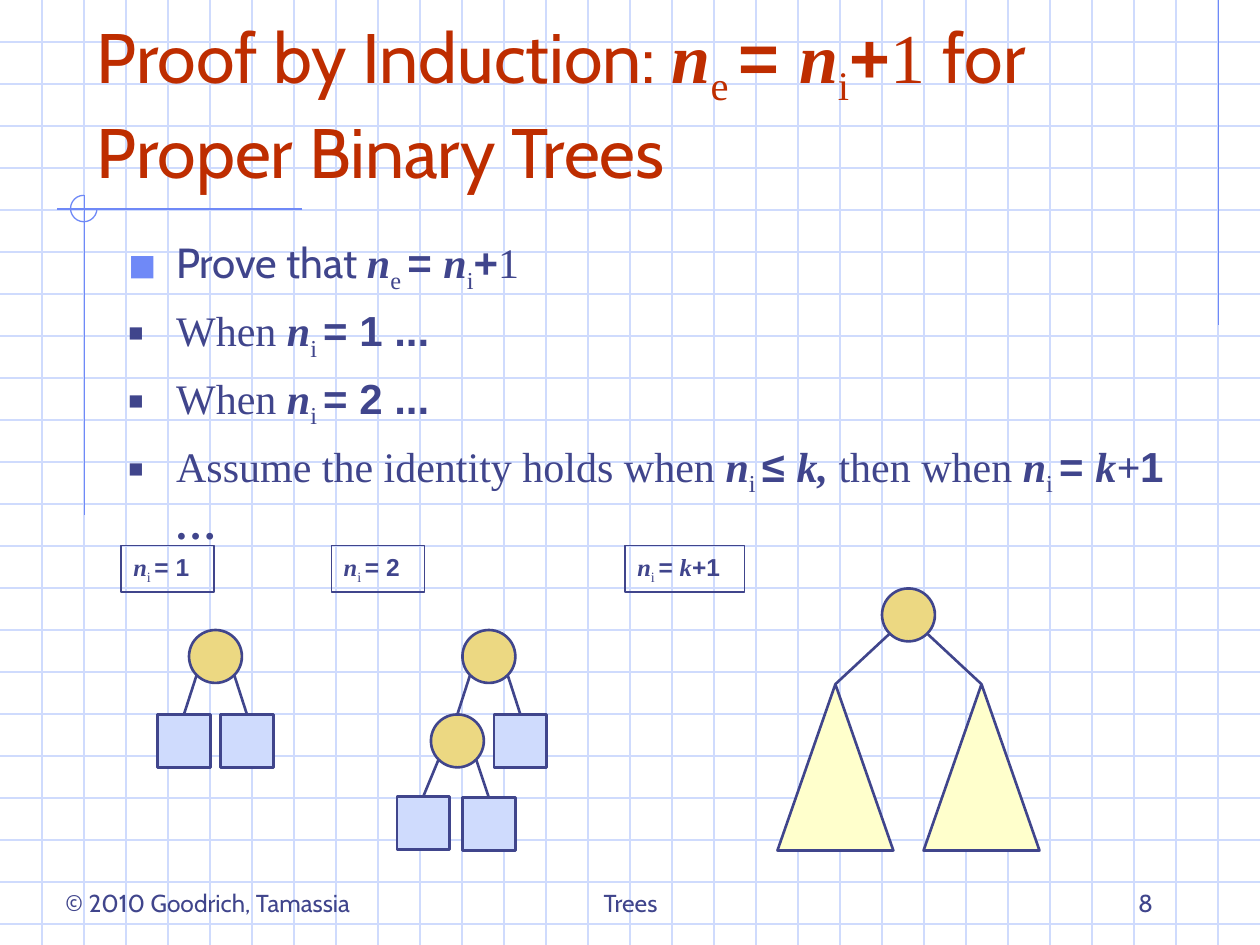
from dataclasses import dataclass

from lxml.etree import SubElement
from pptx import Presentation
from pptx.dml.color import RGBColor
from pptx.enum.shapes import MSO_CONNECTOR as Connector, MSO_SHAPE as Shape
from pptx.enum.text import MSO_ANCHOR as Anchor, PP_ALIGN as Align
from pptx.oxml.ns import qn
from pptx.util import Inches, Pt


@dataclass(frozen=True)
class Theme:
    """Colours, type sizes and line widths of the slide."""
    ink: str = "40458C"
    title: str = "BE2D00"
    grid: str = "CFDBFD"
    accent: str = "6F89F7"
    internal: str = "ECD882"
    external: str = "CFDBFD"
    subtree: str = "FFFFCC"
    title_size: int = 40
    body_size: int = 24
    small_size: int = 14
    thin: float = 0.75
    thick: float = 1.5


THEME = Theme()
NODE = 0.42
SUBTREE_WIDTH, SUBTREE_HEIGHT = 0.92, 1.32
STYLES = {
    "sans": dict(font="Cabin"),
    "serif": dict(font="Times New Roman"),
    "var": dict(font="Times New Roman", bold=True, italic=True),
    "sub": dict(font="Times New Roman", baseline=-25),
    "op": dict(font="Arial", bold=True),
}
N_I = [("n", "var"), ("i ", "sub")]
IDENTITY = [("n", "var"), ("e ", "sub"), ("= ", "op"),
            ("n", "var"), ("i", "sub"), ("+", "op")]
TITLE = [("Proof by Induction: ", "sans"), *IDENTITY, ("1 ", "serif"),
         ("for Proper Binary Trees", "sans")]
CLAIM = [("Prove that ", "sans"), *IDENTITY, ("1", "serif")]
STEPS = [
    [("When ", "serif"), *N_I, ("= 1 ...", "op")],
    [("When ", "serif"), *N_I, ("= 2 ...", "op")],
    [("Assume the identity holds when ", "serif"), *N_I, ("≤ ", "op"), ("k, ", "var"),
     ("then when ", "serif"), *N_I, ("= ", "op"), ("k+", "var"), ("1 ", "op"), ("…", "var")],
]
CASES = [
    (0.96, 0.74, [*N_I, ("= 1", "op")]),
    (2.63, 0.74, [*N_I, ("= 2", "op")]),
    (4.96, 0.95, [*N_I, ("= ", "op"), ("k", "var"), ("+1", "op")]),
]
FOOTERS = [
    (3.42, 3.17, "Trees", Align.CENTER),
    (7.17, 2.08, "8", Align.RIGHT),
    (0.42, 2.75, "© 2010 Goodrich, Tamassia", Align.LEFT),
]


def rgb(code):
    """Turn a hex code into a colour."""
    return RGBColor.from_string(code)


def add_run(paragraph, text, *, size, color, font, bold=False, italic=False, baseline=0):
    """Append formatted text to a paragraph."""
    run = paragraph.add_run()
    run.text = text
    run.font.size = Pt(size)
    run.font.name = font
    run.font.bold = bold
    run.font.italic = italic
    run.font.color.rgb = rgb(color)
    if baseline:
        run._r.get_or_add_rPr().set("baseline", str(baseline * 1000))


def fill_paragraph(paragraph, parts, size, color=THEME.ink):
    """Write a sequence of text and style pairs."""
    for text, style in parts:
        add_run(paragraph, text, size=size, color=color, **STYLES[style])


def add_text_box(slide, left, top, width, height, anchor=Anchor.TOP):
    """Add a wrapping text box."""
    box = slide.shapes.add_textbox(Inches(left), Inches(top), Inches(width), Inches(height))
    box.text_frame.word_wrap = True
    box.text_frame.vertical_anchor = anchor
    return box


def add_bullet(paragraph, color, percent):
    """Give a paragraph a hanging square bullet."""
    properties = paragraph._p.get_or_add_pPr()
    properties.set("marL", str(Inches(0.38)))
    properties.set("indent", str(Inches(-0.38)))
    SubElement(SubElement(properties, qn("a:buClr")), qn("a:srgbClr"), val=color)
    SubElement(properties, qn("a:buSzPct"), val=str(percent * 1000))
    SubElement(properties, qn("a:buFont"), typeface="Arial")
    SubElement(properties, qn("a:buChar"), char="■")


def add_line(slide, start, end, color, weight):
    """Draw a straight line without a shadow."""
    line = slide.shapes.add_connector(Connector.STRAIGHT, *map(Inches, (*start, *end)))
    line.line.color.rgb = rgb(color)
    line.line.width = Pt(weight)
    SubElement(line._element.spPr, qn("a:effectLst"))


def add_figure(slide, kind, left, top, width, height, fill=None,
               color=THEME.ink, weight=THEME.thick):
    """Add an outlined preset shape, filled when a colour is given."""
    figure = slide.shapes.add_shape(kind, *map(Inches, (left, top, width, height)))
    figure.shadow.inherit = False
    if fill:
        figure.fill.solid()
        figure.fill.fore_color.rgb = rgb(fill)
    else:
        figure.fill.background()
    figure.line.color.rgb = rgb(color)
    figure.line.width = Pt(weight)
    return figure


def add_backdrop(slide):
    """Draw the grid paper and its accent lines."""
    for row in range(1, 23):
        add_line(slide, (0, row / 3), (10, row / 3), THEME.grid, THEME.thin)
    for column in range(1, 30):
        add_line(slide, (column / 3, 0), (column / 3, 7.5), THEME.grid, THEME.thin)
    for start, end in [((9.67, 0), (9.67, 2.58)), ((2.4, 1.66), (0.45, 1.66)),
                       ((0.67, 1.55), (0.67, 4.09))]:
        add_line(slide, start, end, THEME.accent, THEME.thin)
    arc = add_figure(slide, Shape.ARC, 0.56, 1.55, 0.21, 0.21,
                     color=THEME.accent, weight=THEME.thin)
    arc.adjustments[0], arc.adjustments[1] = 0, 162


def add_internal(slide, left, top, children, child_width=NODE):
    """Draw an internal node and the edges to its two children."""
    for offset, (child_left, child_top) in zip((0.06, 0.36), children):
        add_line(slide, (left + offset, top + 0.36),
                 (child_left + child_width / 2, child_top), THEME.ink, THEME.thick)
    add_figure(slide, Shape.OVAL, left, top, NODE, NODE, THEME.internal)


def add_trees(slide):
    """Draw the trees for one, two and k+1 internal nodes."""
    single = [(1.25, 5.67), (1.75, 5.67)]
    inner, outer = (3.42, 5.67), (3.92, 5.67)
    lower = [(3.15, 6.32), (3.67, 6.33)]
    subtrees = [(6.17, 5.43), (7.33, 5.43)]
    add_internal(slide, 1.5, 5, single)
    add_internal(slide, 3.67, 5, [inner, outer])
    add_internal(slide, *inner, lower)
    add_internal(slide, 7, 4.67, subtrees, SUBTREE_WIDTH)
    for leaf in [*single, outer, *lower]:
        add_figure(slide, Shape.RECTANGLE, *leaf, NODE, NODE, THEME.external)
    for subtree in subtrees:
        add_figure(slide, Shape.ISOSCELES_TRIANGLE, *subtree,
                   SUBTREE_WIDTH, SUBTREE_HEIGHT, THEME.subtree)


def add_proof(slide):
    """Write the claim and the induction steps."""
    frame = add_text_box(slide, 0.92, 1.83, 8.5, 2.83).text_frame
    claim = frame.paragraphs[0]
    add_bullet(claim, THEME.accent, 110)
    fill_paragraph(claim, CLAIM, THEME.body_size)
    for parts in STEPS:
        step = frame.add_paragraph()
        add_bullet(step, THEME.ink, 60)
        step.space_before = Pt(6)
        fill_paragraph(step, parts, THEME.body_size)


def add_case_label(slide, left, width, parts):
    """Add the framed caption of one case."""
    label = add_figure(slide, Shape.RECTANGLE, left, 4.33, width, 0.37, weight=THEME.thin)
    label.text_frame.vertical_anchor = Anchor.TOP
    label.text_frame.word_wrap = True
    caption = label.text_frame.paragraphs[0]
    caption.alignment = Align.LEFT
    fill_paragraph(caption, parts, THEME.small_size)


def main():
    """Build the slide and save it."""
    deck = Presentation()
    deck.slide_width, deck.slide_height = Inches(10), Inches(7.5)
    slide = deck.slides.add_slide(deck.slide_layouts[6])
    add_backdrop(slide)
    title = add_text_box(slide, 0.67, 0.33, 8.5, 1.25, Anchor.BOTTOM)
    fill_paragraph(title.text_frame.paragraphs[0], TITLE, THEME.title_size, THEME.title)
    add_proof(slide)
    add_trees(slide)
    for case in CASES:
        add_case_label(slide, *case)
    for left, width, text, alignment in FOOTERS:
        footer = add_text_box(slide, left, 6.83, width, 0.5, Anchor.BOTTOM)
        line = footer.text_frame.paragraphs[0]
        line.alignment = alignment
        fill_paragraph(line, [(text, "sans")], THEME.small_size)
    deck.save("out.pptx")


if __name__ == "__main__":
    main()
